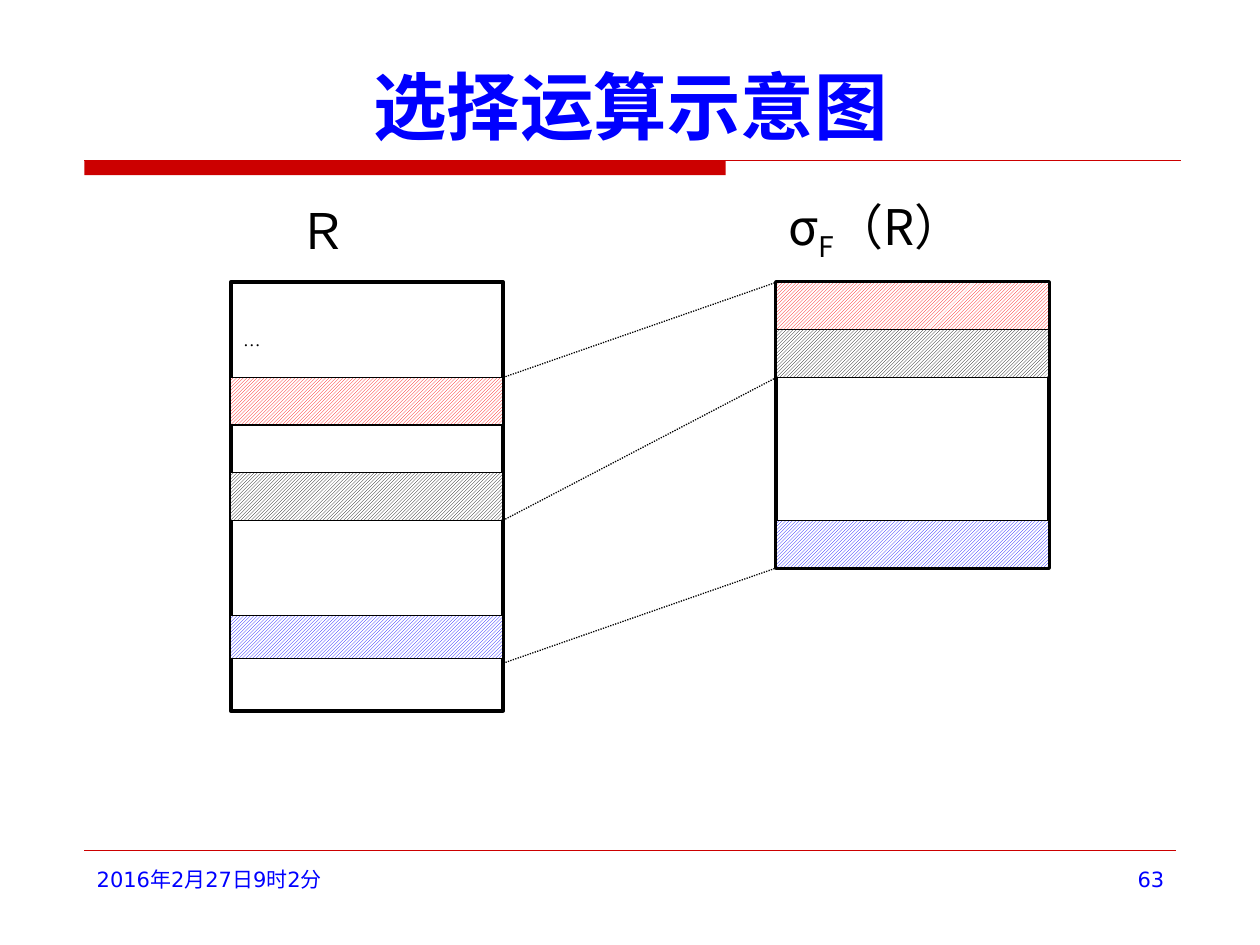
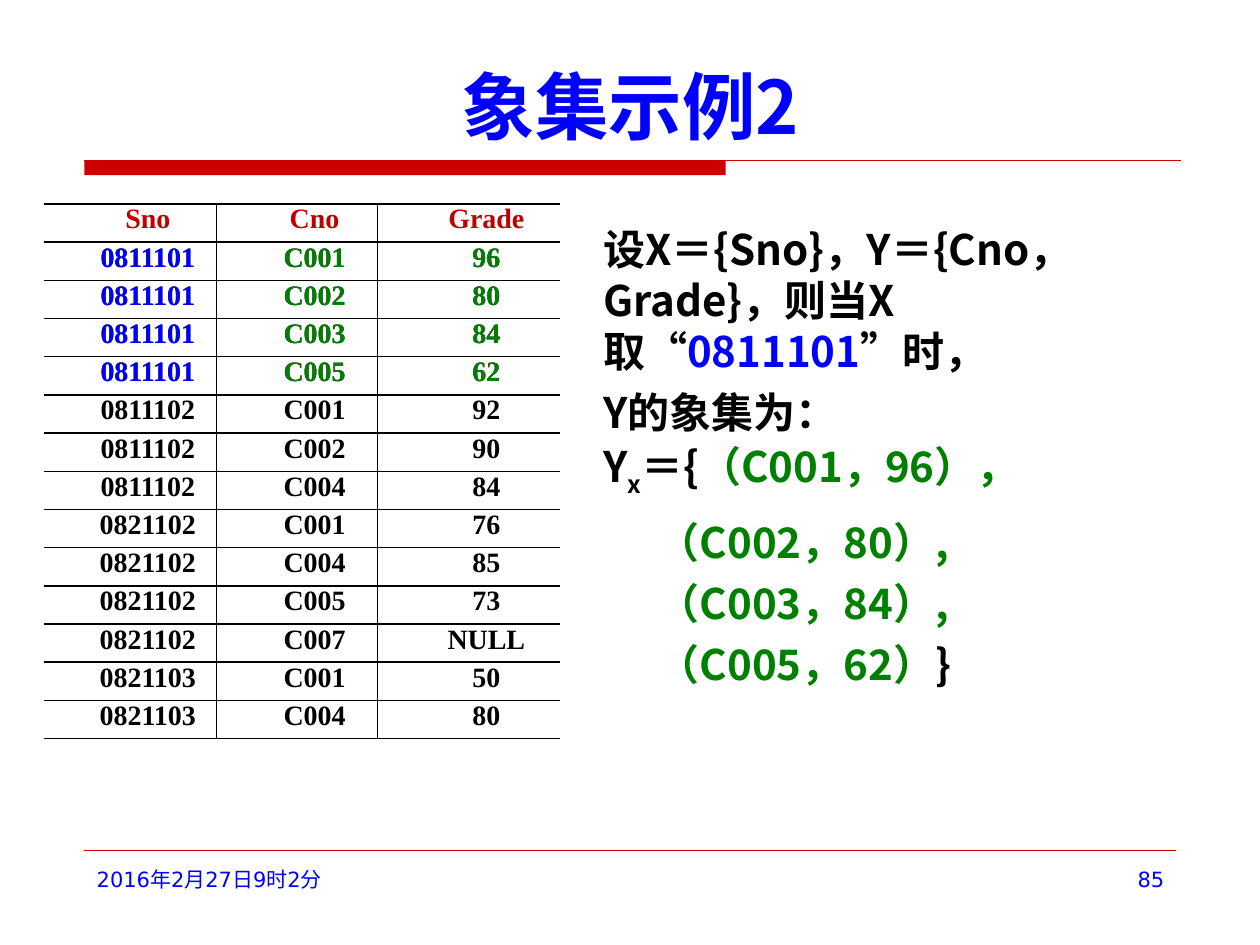
"""Build two database slides: the selection diagram and the image set example."""
from lxml import etree
from pptx import Presentation
from pptx import util as u
from pptx.dml.color import RGBColor
from pptx.enum import dml, shapes, text
from pptx.oxml import ns

Cm, Pt = u.Cm, u.Pt
color = RGBColor.from_string
BLACK, WHITE, BLUE, RED = "000000", "FFFFFF", "0000FF", "FF0000"
GREEN, BAND_RED, HEADER_RED = "008000", "CC0000", "C00000"
CJK, TIMES, FOOTER_FONT = "Noto Sans CJK SC", "Times New Roman", "DejaVu Sans"
LEFT, CENTER, RIGHT = text.PP_ALIGN.LEFT, text.PP_ALIGN.CENTER, text.PP_ALIGN.RIGHT
TOP, MIDDLE, BOTTOM = text.MSO_ANCHOR.TOP, text.MSO_ANCHOR.MIDDLE, text.MSO_ANCHOR.BOTTOM


def add_run(paragraph, content, size, font_name, hex_color, bold=False, baseline=0):
    run = paragraph.add_run()
    run.text = content
    run.font.size, run.font.bold, run.font.name = Pt(size), bold, font_name
    run.font.color.rgb = color(hex_color)
    properties = run.font._element
    etree.SubElement(properties, ns.qn("a:ea")).set("typeface", CJK)
    if baseline:
        properties.set("baseline", str(baseline * 1000))


def add_line(slide, start_x, start_y, end_x, end_y, hex_color, width):
    line = slide.shapes.add_connector(
        shapes.MSO_CONNECTOR.STRAIGHT, Cm(start_x), Cm(start_y), Cm(end_x), Cm(end_y))
    line.line.color.rgb = color(hex_color)
    line.line.width = Pt(width)
    etree.SubElement(line._element.spPr, ns.qn("a:effectLst"))
    return line


presentation = Presentation()
presentation.slide_width, presentation.slide_height = Cm(25.4), Cm(19.05)

slides = []
for title, number in (("选择运算示意图", "63"), ("象集示例2", "85")):
    slide = presentation.slides.add_slide(presentation.slide_layouts[6])
    slides.append(slide)
    band = slide.shapes.add_shape(
        shapes.MSO_SHAPE.RECTANGLE, Cm(1.7), Cm(3.23), Cm(12.93), Cm(0.3))
    band.shadow.inherit = False
    band.fill.solid()
    band.fill.fore_color.rgb = color(BAND_RED)
    band.line.fill.background()
    add_line(slide, 1.7, 3.23, 23.8, 3.23, BAND_RED, 0.75)
    add_line(slide, 1.7, 17.15, 23.7, 17.15, BAND_RED, 0.25)
    for content, left, top, width, height, size, font_name, alignment, anchor in (
        (title, 1.6, 0.84, 22.22, 2.29, 42, CJK, CENTER, BOTTOM),
        ("2016年2月27日9时2分", 1.7, 17.35, 5.61, 1.32, 12, FOOTER_FONT, LEFT, TOP),
        (number, 18.21, 17.35, 5.51, 1.32, 12, FOOTER_FONT, RIGHT, TOP),
    ):
        frame = slide.shapes.add_textbox(Cm(left), Cm(top), Cm(width), Cm(height)).text_frame
        frame.word_wrap = True
        frame.vertical_anchor = anchor
        frame.paragraphs[0].alignment = alignment
        add_run(frame.paragraphs[0], content, size, font_name, BLUE, bold=content == title)

selection, image_set = slides

RELATION_X, RESULT_X, RELATION_WIDTH = 4.65, 15.65, 5.49
RELATION_TOP, TUPLE = 5.69, 0.96
for left, tuple_count, bands in (
    (RELATION_X, 9, ((2, RED, TUPLE), (4, BLACK, TUPLE), (7, BLUE, 0.86))),
    (RESULT_X, 6, ((1, BLACK, TUPLE), (0, RED, TUPLE), (5, BLUE, TUPLE))),
):
    for row, pattern_color, height in ((0, None, tuple_count * TUPLE), *bands):
        box = selection.shapes.add_shape(
            shapes.MSO_SHAPE.RECTANGLE, Cm(left), Cm(RELATION_TOP + row * TUPLE),
            Cm(RELATION_WIDTH), Cm(height))
        box.shadow.inherit = False
        box.line.color.rgb = color(BLACK)
        box.line.width = Pt(0.75 if pattern_color else 2.25)
        if pattern_color:
            box.fill.patterned()
            box.fill.pattern = dml.MSO_PATTERN.LIGHT_UPWARD_DIAGONAL
            box.fill.fore_color.rgb = color(pattern_color)
            box.fill.back_color.rgb = color(WHITE)
        else:
            box.fill.solid()
            box.fill.fore_color.rgb = color(WHITE)
            if left == RELATION_X:
                frame = box.text_frame
                frame.vertical_anchor = TOP
                frame.margin_top = Cm(0.94)
                frame.paragraphs[0].alignment = text.PP_ALIGN.JUSTIFY
                add_run(frame.paragraphs[0], "…", 10, TIMES, BLACK)

for left, width, font_name, pieces in (
    (5.77, 3.3, TIMES, (("Ｒ", 0),)),
    (RESULT_X, 6.58, CJK, (("σ", 0), ("F", -25), ("（R）", 0))),
):
    label = selection.shapes.add_shape(
        shapes.MSO_SHAPE.RECTANGLE, Cm(left), Cm(3.94), Cm(width), Cm(1.4))
    label.shadow.inherit = False
    label.fill.solid()
    label.fill.fore_color.rgb = color(WHITE)
    label.line.fill.background()
    frame = label.text_frame
    frame.vertical_anchor = MIDDLE
    frame.margin_top = frame.margin_bottom = 0
    frame.paragraphs[0].alignment = text.PP_ALIGN.JUSTIFY
    for content, baseline in pieces:
        add_run(frame.paragraphs[0], content, 28, font_name, BLACK, baseline=baseline)

for relation_row, result_row in ((2, 0), (5, 2), (8, 6)):
    projection = add_line(
        selection, RELATION_X + RELATION_WIDTH, RELATION_TOP + relation_row * TUPLE,
        RESULT_X, RELATION_TOP + result_row * TUPLE, BLACK, 0.75)
    projection.line.dash_style = dml.MSO_LINE.ROUND_DOT

GRADES = [
    ("Sno", "Cno", "Grade"),
    ("0811101", "C001", "96"), ("0811101", "C002", "80"),
    ("0811101", "C003", "84"), ("0811101", "C005", "62"),
    ("0811102", "C001", "92"), ("0811102", "C002", "90"), ("0811102", "C004", "84"),
    ("0821102", "C001", "76"), ("0821102", "C004", "85"),
    ("0821102", "C005", "73"), ("0821102", "C007", "NULL"),
    ("0821103", "C001", "50"), ("0821103", "C004", "80"),
]
COLUMN_WIDTHS = [3.47, 3.25, 3.68]
TABLE_LEFT, TABLE_TOP, ROW_HEIGHT = 0.89, 4.11, 0.77
for first_row, last_row, first_column, last_column, text_color in (
    (0, 14, 0, 3, BLACK), (1, 5, 0, 1, BLUE), (1, 5, 1, 3, GREEN),
):
    widths = COLUMN_WIDTHS[first_column:last_column]
    rows = GRADES[first_row:last_row]
    table = image_set.shapes.add_table(
        len(rows), len(widths), Cm(TABLE_LEFT + sum(COLUMN_WIDTHS[:first_column])),
        Cm(TABLE_TOP + first_row * ROW_HEIGHT), Cm(sum(widths)),
        Cm(len(rows) * ROW_HEIGHT)).table
    table.first_row = table.horz_banding = False
    for column, width in zip(table.columns, widths):
        column.width = Cm(width)
    for row_index, values in enumerate(rows):
        table.rows[row_index].height = Cm(ROW_HEIGHT)
        for column_index, value in enumerate(values[first_column:last_column]):
            cell = table.cell(row_index, column_index)
            cell.fill.background()
            cell.margin_left = cell.margin_right = Cm(0.15)
            cell.margin_top = cell.margin_bottom = 0
            paragraph = cell.text_frame.paragraphs[0]
            paragraph.alignment = CENTER
            paragraph.space_after = Pt(1.6)
            paragraph._p.get_or_add_pPr().set("indent", str(Cm(0.71)))
            header = first_row + row_index == 0
            add_run(paragraph, value, 16, TIMES, HEADER_RED if header else text_color, True)
            grid_column = first_column + column_index
            hidden_side = {0: "lnL", 2: "lnR"}.get(grid_column)
            for position, side in enumerate(("lnL", "lnR", "lnT", "lnB")):
                border = etree.Element(ns.qn("a:" + side), w=str(Pt(1)))
                if side == hidden_side:
                    etree.SubElement(border, ns.qn("a:noFill"))
                else:
                    fill = etree.SubElement(border, ns.qn("a:solidFill"))
                    etree.SubElement(fill, ns.qn("a:srgbClr"), val=BLACK)
                cell._tc.get_or_add_tcPr().insert(position, border)

frame = image_set.shapes.add_textbox(Cm(11.91), Cm(4.38), Cm(12.8), Cm(9.75)).text_frame
frame.word_wrap = True
for index, (indent, space_before, pieces) in enumerate((
    (0, 0, (("设X＝{Sno}，Y＝{Cno，Grade}，则当X取“", BLACK, 0),
            ("0811101", BLUE, 0), ("”时，", BLACK, 0))),
    (0, 6, (("Y的象集为：", BLACK, 0),)),
    (0, 6, (("Y", BLACK, 0), ("x", BLACK, -25), ("＝{", BLACK, 0),
            ("（C001，96），", GREEN, 0))),
    (1.1, 10, (("（C002，80）,", GREEN, 0),)),
    (1.1, 6, (("（C003，84）,", GREEN, 0),)),
    (1.1, 6, (("（C005，62）", GREEN, 0), ("}", BLACK, 0))),
)):
    paragraph = frame.add_paragraph() if index else frame.paragraphs[0]
    paragraph.line_spacing = Pt(29)
    paragraph.space_before = Pt(space_before)
    paragraph._p.get_or_add_pPr().set("marL", str(Cm(indent)))
    for content, hex_color, baseline in pieces:
        add_run(paragraph, content, 24, CJK, hex_color, True, baseline)

presentation.save("out.pptx")
